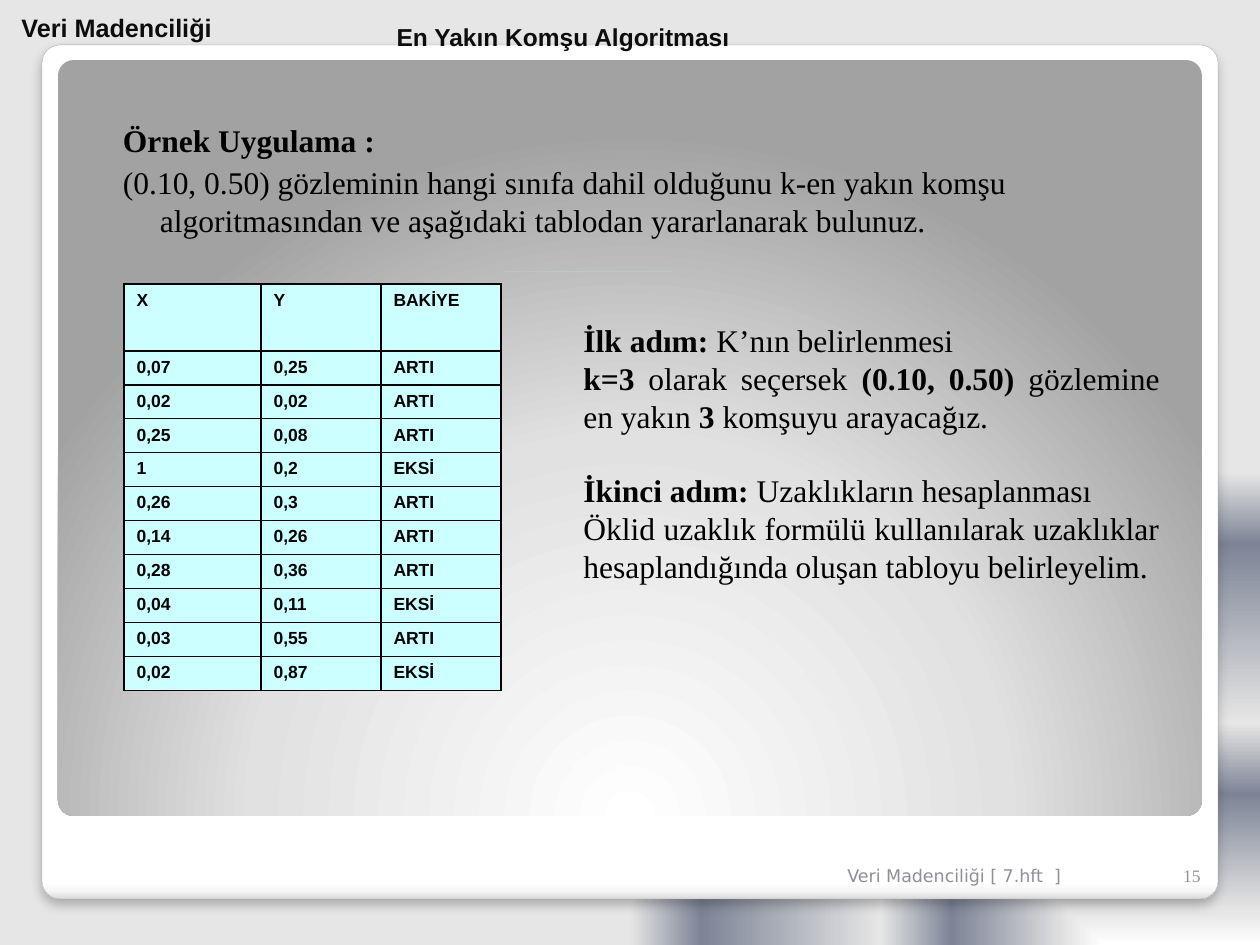
from lxml import etree
from pptx import Presentation
from pptx.dml.color import RGBColor
from pptx.enum.shapes import MSO_SHAPE
from pptx.enum.text import MSO_ANCHOR, PP_ALIGN
from pptx.oxml.ns import qn
from pptx.util import Emu, Pt

ROUNDED, RECTANGLE = MSO_SHAPE.ROUNDED_RECTANGLE, MSO_SHAPE.RECTANGLE
TOP, MIDDLE, BOTTOM = MSO_ANCHOR.TOP, MSO_ANCHOR.MIDDLE, MSO_ANCHOR.BOTTOM
LEFT, RIGHT, JUSTIFY = PP_ALIGN.LEFT, PP_ALIGN.RIGHT, PP_ALIGN.JUSTIFY

EMU_PER_PX = 914400 / 126
SERIF, SANS, FOOTER_FONT = "Times New Roman", "Arial", "DejaVu Sans"
COLORS = {
    "black": "000000", "heading": "0D0D0D", "footer": "938E99",
    "number": "95909B", "cell": "CCFFFF", "frame": "A4A4A4",
}
PAGE_STOPS = [(0, "FFFFFF"), (7, "E6E6E6"), (32, "7D8496"), (47, "E6E6E6"),
              (85, "7D8496"), (100, "E6E6E6")]
FRAME_STOPS = [(0, "FFFFFF"), (98, "FFFFFF"), (99, "F7F7F7"), (100, "DADADA")]
PANEL_STOPS = [(0, "FFFFFF"), (55, "E1E1E1"), (100, "A2A2A2")]
OBSERVATIONS = [
    ("X", "Y", "BAKİYE"),
    ("0,07", "0,25", "ARTI"), ("0,02", "0,02", "ARTI"), ("0,25", "0,08", "ARTI"),
    ("1", "0,2", "EKSİ"), ("0,26", "0,3", "ARTI"), ("0,14", "0,26", "ARTI"),
    ("0,28", "0,36", "ARTI"), ("0,04", "0,11", "EKSİ"), ("0,03", "0,55", "ARTI"),
    ("0,02", "0,87", "EKSİ"),
]


def px(length):
    return Emu(round(length * EMU_PER_PX))


def place(box):
    return [px(length) for length in box]


def color(name):
    return RGBColor.from_string(COLORS[name])


def add_node(parent, tag, **attributes):
    node = etree.SubElement(parent, qn(tag))
    for name, value in attributes.items():
        node.set(name, str(value))
    return node


def apply_gradient(owner, stops, path=None, focus=None):
    """Swap the first solid fill of an element for a gradient."""
    solid = owner.find(".//" + qn("a:solidFill"))
    gradient = etree.Element(qn("a:gradFill"), rotWithShape="1")
    stop_list = add_node(gradient, "a:gsLst")
    for position, value in stops:
        stop = add_node(stop_list, "a:gs", pos=position * 1000)
        add_node(stop, "a:srgbClr", val=value)
    if path:
        sides = dict(zip("ltrb", (percent * 1000 for percent in focus)))
        add_node(add_node(gradient, "a:path", path=path), "a:fillToRect", **sides)
    else:
        add_node(gradient, "a:lin", ang=90 * 60000, scaled=0)
    solid.getparent().replace(solid, gradient)


def add_plate(slide, box, shape_type=ROUNDED):
    plate = slide.shapes.add_shape(shape_type, *place(box))
    plate.shadow.inherit = False
    plate.fill.solid()
    plate.fill.fore_color.rgb = color("cell")
    plate.line.fill.background()
    if shape_type == ROUNDED:
        plate.adjustments[0] = 0.021
    return plate


def add_backdrop(slide, box):
    left, top, width, height = box
    slide.background.fill.solid()
    apply_gradient(slide.element, PAGE_STOPS, "rect", (100, 100, 0, 0))
    # White frame with a soft shadow
    frame = add_plate(slide, (left + 42, top + 45, width - 84, height - 91))
    frame.line.color.rgb = color("frame")
    frame.line.width = Pt(0.16)
    apply_gradient(frame.element, FRAME_STOPS)
    effects = frame.element.spPr.find(qn("a:effectLst"))
    shadow = add_node(effects, "a:outerShdw", blurRad=Pt(6), dist=Pt(4),
                      dir=90 * 60000, algn="t", rotWithShape=0)
    add_node(add_node(shadow, "a:srgbClr", val=COLORS["black"]), "a:alpha", val=25000)
    # Grey inner panel
    panel = add_plate(slide, (left + 58, top + 60, width - 116, height - 189))
    apply_gradient(panel.element, PANEL_STOPS, "circle", (50, 175, 50, -75))


def write_text(shape, paragraphs, size, font, tint, align=LEFT, anchor=TOP):
    """Fill a shape with paragraphs, each a list of (text, bold) runs."""
    frame = shape.text_frame
    frame.word_wrap = True
    frame.vertical_anchor = anchor
    for index, runs in enumerate(paragraphs):
        para = frame.add_paragraph() if index else frame.paragraphs[0]
        para.alignment = align
        para.font.size = Pt(size)
        para.font.name = font
        para.font.color.rgb = color(tint)
        for text, bold in runs:
            span = para.add_run()
            span.text = text
            span.font.bold = bold
    return frame


def add_text(slide, box, *args, **options):
    return write_text(slide.shapes.add_textbox(*place(box)), *args, **options)


def add_header(slide, box):
    left, top = box[:2]
    add_text(slide, (left + 9, top + 10, 1128, 39), [[("Veri Madenciliği", True)]],
             14.4, SANS, "heading", anchor=BOTTOM)
    title = slide.shapes.title
    title.left, title.top, title.width, title.height = place(
        (left + 384, top + 15, 728, 43))
    write_text(title, [[("En Yakın Komşu Algoritması", True)]],
               14, SANS, "heading", anchor=MIDDLE)
    slide.shapes.element.append(title.element)  # bring in front of the panel


def add_question(slide, box):
    frame = add_text(slide, box, [
        [("Örnek Uygulama :", True)],
        [("(0.10, 0.50) gözleminin hangi sınıfa dahil olduğunu k-en yakın komşu "
          "algoritmasından ve aşağıdaki tablodan yararlanarak bulunuz.", False)],
    ], 18, SERIF, "black")
    frame.margin_left, frame.margin_top = px(25), px(13)
    for para in frame.paragraphs:
        para.space_before = Pt(2.5)
        properties = para._p.get_or_add_pPr()
        properties.set("marL", str(px(37)))
        properties.set("indent", str(-px(37)))


def add_steps(slide, box):
    frame = add_text(slide, box, [
        [("İlk adım: ", True), ("K’nın belirlenmesi", False)],
        [("k=3", True), (" olarak seçersek ", False), ("(0.10, 0.50) ", True),
         ("gözlemine en yakın ", False), ("3", True), (" komşuyu arayacağız.", False)],
        [("İkinci adım: ", True), ("Uzaklıkların hesaplanması", False)],
        [("Öklid uzaklık formülü kullanılarak uzaklıklar hesaplandığında "
          "oluşan tabloyu belirleyelim.", False)],
    ], 18, SERIF, "black", align=JUSTIFY)
    frame.paragraphs[2].space_before = Pt(21)


def style_cell(cell, text):
    cell.fill.solid()
    cell.fill.fore_color.rgb = color("cell")
    cell.text = text
    font = cell.text_frame.paragraphs[0].font
    font.size, font.name, font.bold = Pt(10), SANS, True
    font.color.rgb = color("black")
    properties = cell._tc.get_or_add_tcPr()
    for index, side in enumerate("LRTB"):
        border = etree.Element(qn("a:ln" + side), w=str(Pt(0.75)))
        add_node(add_node(border, "a:solidFill"), "a:srgbClr", val=COLORS["black"])
        properties.insert(index, border)


def add_observations(slide, box):
    table = slide.shapes.add_table(len(OBSERVATIONS), 3, *place(box)).table
    for column, width in zip(table.columns, (137, 120, 120)):
        column.width = px(width)
    for index, (row, values) in enumerate(zip(table.rows, OBSERVATIONS)):
        row.height = px(34 if index else 67)
        for cell, value in zip(row.cells, values):
            style_cell(cell, value)


def add_footer(slide, box):
    left, top, width, height = box
    add_text(slide, (left, top, width - 63, height),
             [[("Veri Madenciliği [ 7.hft  ]", False)]],
             10, FOOTER_FONT, "footer", anchor=BOTTOM)
    add_text(slide, (left + width - 63, top, 63, height), [[("15", False)]],
             10, SERIF, "number", align=RIGHT, anchor=BOTTOM)


def main():
    deck = Presentation()
    deck.slide_width, deck.slide_height = px(1260), px(945)
    slide = deck.slides.add_slide(deck.slide_layouts[5])
    page = (0, 0, 1260, 945)
    add_backdrop(slide, page)
    add_question(slide, (98, 108, 1071, 139))
    add_header(slide, page)
    add_footer(slide, (835, 842, 378, 50))
    add_steps(slide, (571, 315, 601, 318))
    add_plate(slide, (504, 272, 168, 0), RECTANGLE)  # hairline above the table
    add_observations(slide, (124, 284, 377, 407))
    deck.save("out.pptx")


if __name__ == "__main__":
    main()
